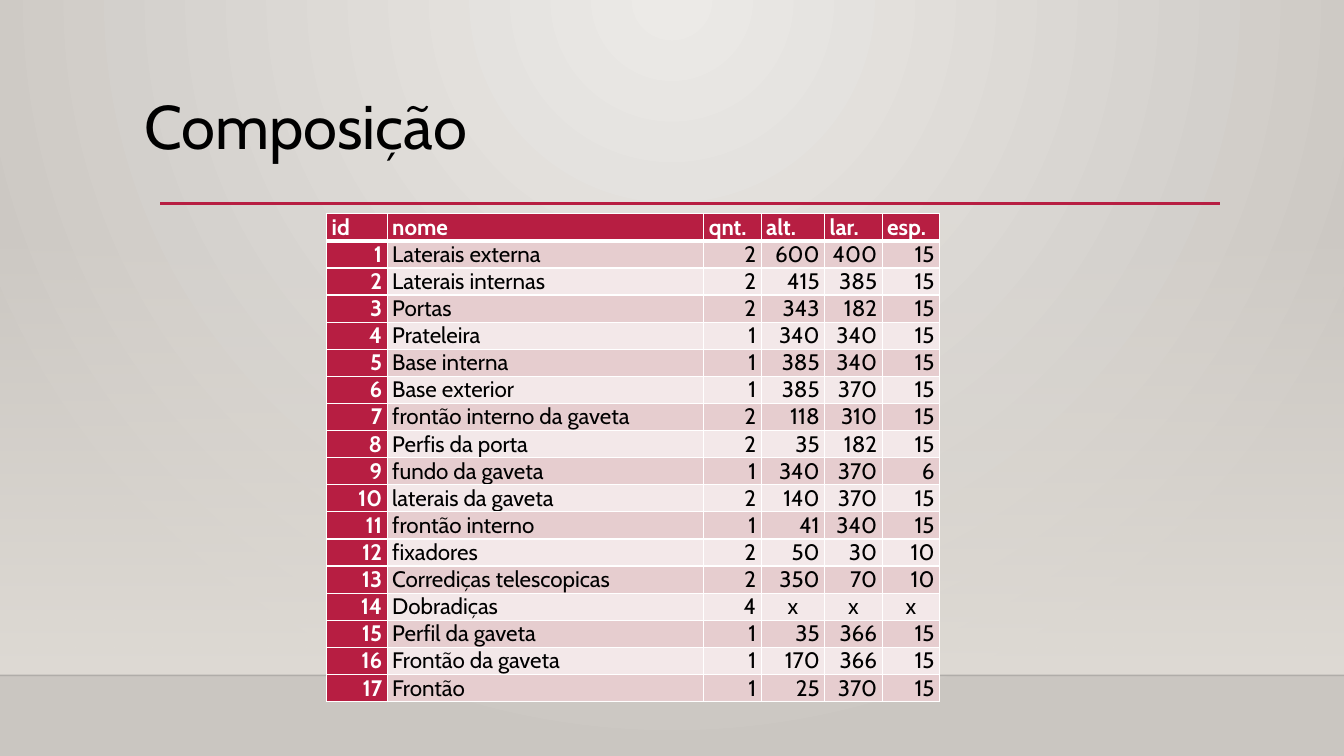
import pptx
import pptx.dml.color
import pptx.enum.shapes
import pptx.enum.text
import pptx.oxml
import pptx.oxml.ns
import pptx.util
from dataclasses import dataclass

EMU_PER_PX = 9144
PP = pptx.enum.text.PP_ALIGN
ANCHOR = pptx.enum.text.MSO_ANCHOR
qn = pptx.oxml.ns.qn


@dataclass(frozen=True)
class Theme:
    font: str = "Cabin"
    title_pt: int = 44
    cell_pt: int = 16
    accent: str = "B71E42"
    ink: str = "000000"
    white: str = "FFFFFF"
    bands: tuple = ("E6CDCF", "F3E8E9")
    backdrop: tuple = ("ECEAE7", "CAC6C1")
    wall: str = "DFDBD5"
    floor_line: str = "000001"


THEME = Theme()
COL_WIDTHS = (60, 314, 57, 63, 57, 57)
HEADER = ("id", "nome", "qnt.", "alt.", "lar.", "esp.")
PARTS = (
    ("Laterais externa", 2, 600, 400, 15),
    ("Laterais internas", 2, 415, 385, 15),
    ("Portas", 2, 343, 182, 15),
    ("Prateleira", 1, 340, 340, 15),
    ("Base interna", 1, 385, 340, 15),
    ("Base exterior", 1, 385, 370, 15),
    ("frontão interno da gaveta", 2, 118, 310, 15),
    ("Perfis da porta", 2, 35, 182, 15),
    ("fundo da gaveta", 1, 340, 370, 6),
    ("laterais da gaveta", 2, 140, 370, 15),
    ("frontão interno", 1, 41, 340, 15),
    ("fixadores", 2, 50, 30, 10),
    ("Corrediças telescopicas", 2, 350, 70, 10),
    ("Dobradiças", 4, "x", "x", "x"),
    ("Perfil da gaveta", 1, 35, 366, 15),
    ("Frontão da gaveta", 1, 170, 366, 15),
    ("Frontão", 1, 25, 370, 15),
)


def px(n):
    return pptx.util.Emu(n * EMU_PER_PX)


def rgb(color):
    return pptx.dml.color.RGBColor.from_string(color)


def xml(text):
    ns = pptx.oxml.ns.nsdecls("a")
    return pptx.oxml.parse_xml(text.replace(">", f" {ns}>", 1))


def apply(obj, values):
    for name, value in values.items():
        setattr(obj, name, value)


def set_alpha(clr, percent):
    clr.append(xml(f'<a:alpha val="{percent * 1000}"></a:alpha>'))


def set_gradient(fill, colors):
    fill.gradient()
    for stop, color, position in zip(fill.gradient_stops, colors, (0, 1)):
        stop.color.rgb = rgb(color)
        stop.position = position


def write(p, text, size, color, bold=False):
    r = p.add_run()
    r.text = str(text)
    apply(r.font, {"name": THEME.font, "size": pptx.util.Pt(size), "bold": bold})
    r.font.color.rgb = rgb(color)


def add_rule(s, x, y, w, color, weight, alpha=100):
    line = s.shapes.add_connector(
        pptx.enum.shapes.MSO_CONNECTOR.STRAIGHT, px(x), px(y), px(x + w), px(y))
    line.line.width = pptx.util.Pt(weight)
    line.line.color.rgb = rgb(color)
    if alpha < 100:
        set_alpha(line.element.find(".//" + qn("a:srgbClr")), alpha)
    line.element.spPr.append(xml("<a:effectLst></a:effectLst>"))


def add_backdrop(s, x, y, w, h):
    set_gradient(s.background.fill, THEME.backdrop)
    grad = s.element.find(".//" + qn("a:gradFill"))
    grad.replace(grad.find(qn("a:lin")), xml(
        '<a:path path="circle"><a:fillToRect l="50000" r="50000" b="100000"/></a:path>'))
    wall_top, floor = y + 221, y + 670
    sp = s.shapes.add_shape(pptx.enum.shapes.MSO_SHAPE.RECTANGLE,
                            px(x), px(wall_top), px(w), px(floor - wall_top))
    sp.shadow.inherit = False
    sp.line.fill.background()
    set_gradient(sp.fill, (THEME.wall, THEME.wall))
    sp.fill.gradient_angle = 270
    set_alpha(sp.element.find(".//" + qn("a:srgbClr")), 0)
    add_rule(s, x, floor, w, THEME.floor_line, 1, 20)


def add_title(s, x, y, w, h):
    sp = s.shapes.title
    apply(sp, {"left": px(x), "top": px(y), "width": px(w), "height": px(h)})
    tf = sp.text_frame
    apply(tf, {"margin_left": 0, "margin_top": 0, "margin_right": 0, "margin_bottom": 0,
               "word_wrap": True, "vertical_anchor": ANCHOR.MIDDLE})
    p = tf.paragraphs[0]
    apply(p, {"alignment": PP.LEFT, "line_spacing": 0.9})
    write(p, "Composição", THEME.title_pt, THEME.ink)
    add_rule(s, x + 16, y + 145, w - 15, THEME.accent, 2.5)


def format_cell(cell, text, row, col):
    heading = row == 0 or col == 0
    apply(cell, {"margin_left": px(5), "margin_right": px(5),
                 "margin_top": 0, "margin_bottom": 0,
                 "vertical_anchor": ANCHOR.MIDDLE if text == "x" else ANCHOR.BOTTOM})
    thick = {0: "B", 1: "T"}.get(row)
    for side in "LRTB":
        weight = 3 if side == thick else 1
        cell._tc.get_or_add_tcPr().append(xml(
            f'<a:ln{side} w="{weight * 12700}"><a:solidFill>'
            f'<a:srgbClr val="{THEME.white}"/></a:solidFill></a:ln{side}>'))
    cell.fill.solid()
    cell.fill.fore_color.rgb = rgb(THEME.accent if heading else THEME.bands[(row - 1) % 2])
    p = cell.text_frame.paragraphs[0]
    if text == "x":
        p.alignment = PP.CENTER
    else:
        p.alignment = PP.LEFT if row == 0 or col == 1 else PP.RIGHT
    write(p, text, THEME.cell_pt, THEME.white if heading else THEME.ink, heading)


def add_parts_table(s, x, y, w, h):
    rows = [HEADER] + [(i, *part) for i, part in enumerate(PARTS, 1)]
    table = s.shapes.add_table(len(rows), len(HEADER), px(x), px(y), px(w), px(h)).table
    for column, width in zip(table.columns, COL_WIDTHS):
        column.width = px(width)
    for i, values in enumerate(rows):
        table.rows[i].height = px(26 if i in (0, len(rows) - 1) else 24)
        for j, value in enumerate(values):
            format_cell(table.cell(i, j), value, i, j)


def main():
    prs = pptx.Presentation()
    apply(prs, {"slide_width": px(1333), "slide_height": px(750)})
    s = prs.slides.add_slide(prs.slide_layouts[5])
    add_backdrop(s, 0, 0, 1333, 750)
    add_title(s, 143, 57, 1066, 143)
    add_parts_table(s, 324, 212, sum(COL_WIDTHS), 436)
    prs.save("out.pptx")


if __name__ == "__main__":
    main()
